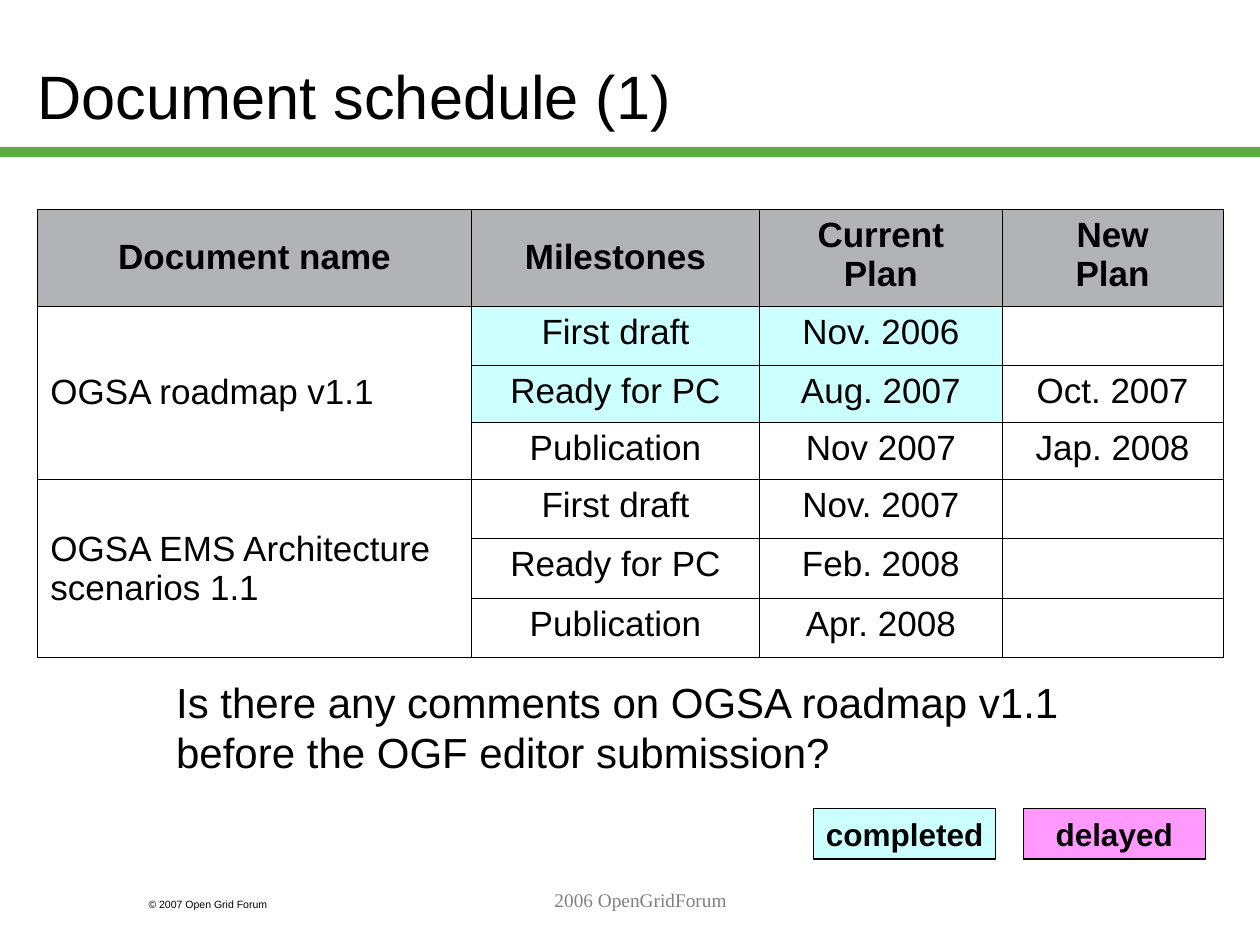
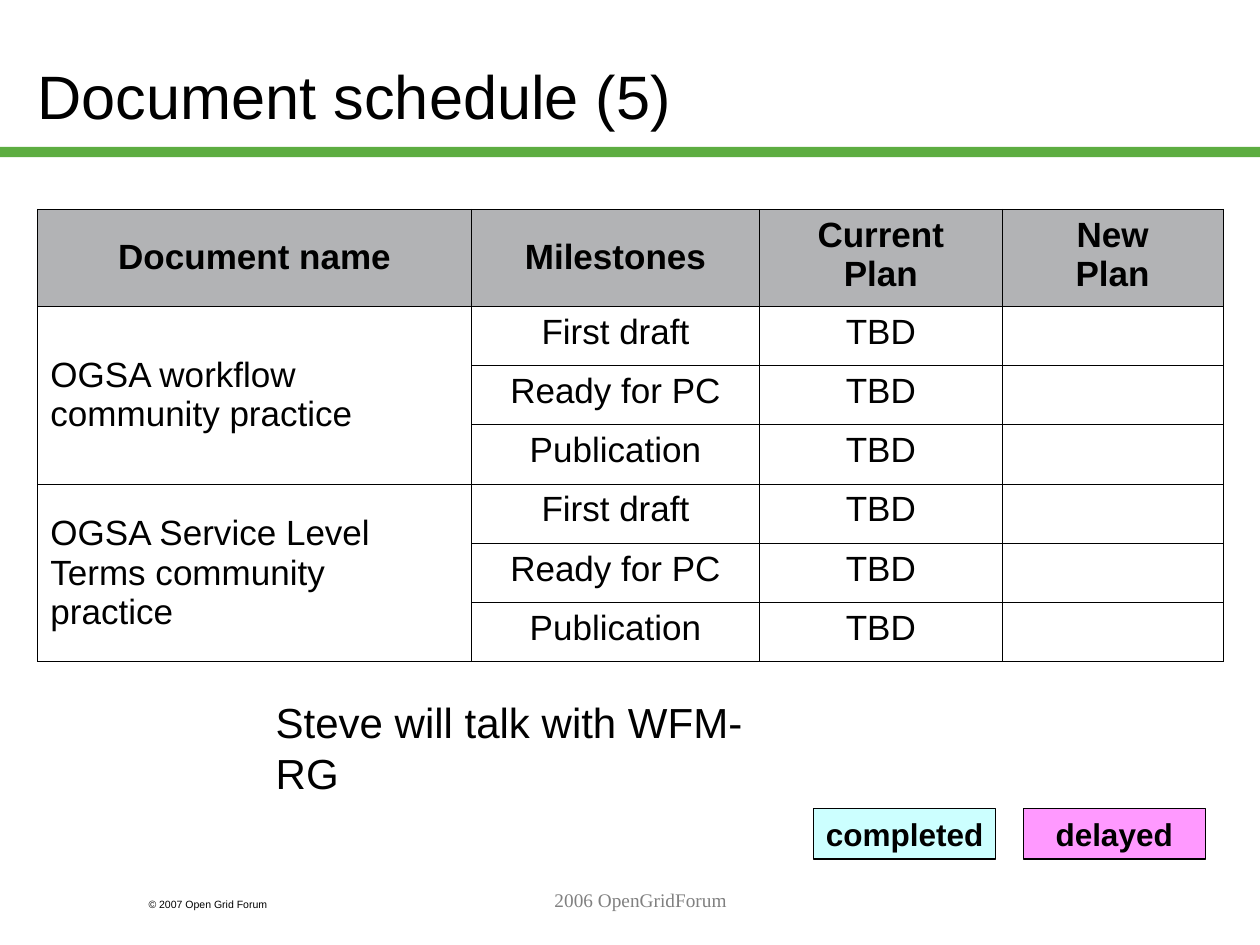
"""Build two document schedule slides with a milestone table and a status legend."""
import lxml.etree
import pptx
import pptx.dml.color
import pptx.enum.shapes
import pptx.enum.text
import pptx.oxml.ns
import pptx.util

Pt = pptx.util.Pt
ALIGN = pptx.enum.text.PP_ALIGN
ANCHOR = pptx.enum.text.MSO_ANCHOR

COLORS = {
    "text": "000000",
    "footer": "808080",
    "band": "5DAD41",
    "header": "B2B3B5",
    "completed": "CCFFFF",
    "delayed": "FF99FF",
}
COLUMN_WIDTHS = [247.8, 164.7, 138.6, 126.3]
HEADER_HEIGHT = 55.4
FULL_ROW, OPEN_ROW = 32.6, 33.9
HEADERS = ["Document name", "Milestones", "Current\nPlan", "New\nPlan"]
MILESTONES = ["First draft", "Ready for PC", "Publication"]

SCHEDULES = [
    {
        "title": "Document schedule (1)",
        "documents": [
            ("OGSA roadmap v1.1", ["Nov. 2006", "Aug. 2007", "Nov 2007"],
             ["", "Oct. 2007", "Jap. 2008"], 2),
            ("OGSA EMS Architecture\nscenarios 1.1",
             ["Nov. 2007", "Feb. 2008", "Apr. 2008"], [""] * 3, 0),
        ],
        "note": "Is there any comments on OGSA roadmap v1.1 before the OGF editor submission?",
        "note_box": (93.6, 383, 578.2, 64.8),
        "wrap": True,
    },
    {
        "title": "Document schedule (5)",
        "documents": [
            ("OGSA workflow\ncommunity practice", ["TBD"] * 3, [""] * 3, 0),
            ("OGSA Service Level\nTerms community\npractice", ["TBD"] * 3, [""] * 3, 0),
        ],
        "note": "Steve will talk with WFM-RG",
        "note_box": (150.5, 394.6, 316.8, 36),
        "wrap": False,
    },
]


def rgb(name):
    """Return the named colour."""
    return pptx.dml.color.RGBColor.from_string(COLORS[name])


def write(tf, text, size=20, font="Arial", color="text", bold=False, align=ALIGN.LEFT):
    """Write text into a frame, one paragraph for each line."""
    for i, line in enumerate(text.split("\n")):
        p = tf.add_paragraph() if i else tf.paragraphs[0]
        p.alignment = align
        r = p.add_run()
        r.text = line
        r.font.size, r.font.name, r.font.bold = Pt(size), font, bold
        r.font.color.rgb = rgb(color)


def add_text(s, box, text, anchor=ANCHOR.TOP, wrap=True, **fmt):
    """Add a text box."""
    tf = s.shapes.add_textbox(*map(Pt, box)).text_frame
    tf.word_wrap, tf.vertical_anchor = wrap, anchor
    write(tf, text, **fmt)


def add_rect(s, box, fill, outlined=False):
    """Add a filled rectangle, with a thin outline if wanted."""
    sp = s.shapes.add_shape(pptx.enum.shapes.MSO_SHAPE.RECTANGLE, *map(Pt, box))
    sp.shadow.inherit = False
    sp.fill.solid()
    sp.fill.fore_color.rgb = rgb(fill)
    if outlined:
        sp.line.color.rgb = rgb("text")
        sp.line.width = Pt(0.75)
    else:
        sp.line.fill.background()
    return sp


def border_cell(cell):
    """Draw a thin line on all four sides of a cell."""
    qn = pptx.oxml.ns.qn
    tc_pr = cell._tc.get_or_add_tcPr()
    for i, side in enumerate(("a:lnL", "a:lnR", "a:lnT", "a:lnB")):
        ln = lxml.etree.Element(qn(side), w=str(int(Pt(0.45))))
        fill = lxml.etree.SubElement(ln, qn("a:solidFill"))
        lxml.etree.SubElement(fill, qn("a:srgbClr"), val=COLORS["text"])
        tc_pr.insert(i, ln)


def fill_cell(cell, text, fill=None, anchor=ANCHOR.TOP, **fmt):
    """Set the text, fill and borders of a cell."""
    if text:
        write(cell.text_frame, text, **fmt)
    cell.vertical_anchor = anchor
    if fill:
        cell.fill.solid()
        cell.fill.fore_color.rgb = rgb(fill)
    else:
        cell.fill.background()
    border_cell(cell)


def add_schedule(s, box, documents):
    """Add the table of documents, milestones and plans."""
    count = len(MILESTONES)
    table = s.shapes.add_table(1 + count * len(documents), len(HEADERS),
                               *map(Pt, box)).table
    table.first_row = table.horz_banding = False
    for col, width in zip(table.columns, COLUMN_WIDTHS):
        col.width = Pt(width)
    table.rows[0].height = Pt(HEADER_HEIGHT)
    for c, text in enumerate(HEADERS):
        anchor = ANCHOR.TOP if "\n" in text else ANCHOR.MIDDLE
        fill_cell(table.cell(0, c), text, "header", anchor, bold=True, align=ALIGN.CENTER)
    for d, (name, current, new, done) in enumerate(documents):
        top = 1 + d * count
        table.cell(top, 0).merge(table.cell(top + count - 1, 0))
        for i, plan in enumerate(zip(MILESTONES, current, new)):
            row = top + i
            table.rows[row].height = Pt(FULL_ROW if new[i] else OPEN_ROW)
            fill_cell(table.cell(row, 0), "" if i else name, anchor=ANCHOR.MIDDLE)
            for c, text in enumerate(plan, 1):
                fill = "completed" if i < done and c < 3 else None
                fill_cell(table.cell(row, c), text, fill, align=ALIGN.CENTER)


def add_legend(s, box):
    """Add the two status keys, at the left and right ends of the box."""
    left, top, width, height = box
    key_width = 104
    for name, x in (("completed", left), ("delayed", left + width - key_width)):
        tf = add_rect(s, (x, top, key_width, height), name, True).text_frame
        tf.word_wrap, tf.vertical_anchor = False, ANCHOR.MIDDLE
        write(tf, name, size=18, bold=True, align=ALIGN.CENTER)


def add_frame(s, title):
    """Add the band, title and footers shared by all slides."""
    add_rect(s, (0, 84, 720, 5.8), "band")
    add_text(s, (77.8, 509.8, 108, 14.4), "© 2007 Open Grid Forum", size=6)
    add_text(s, (14.4, 9.4, 612, 90), title, ANCHOR.MIDDLE, size=35)
    add_text(s, (156.2, 504, 419.8, 36), "2006 OpenGridForum", size=11,
             font="Times New Roman", color="footer", align=ALIGN.CENTER)


def add_schedule_slide(prs, schedule):
    """Add one document schedule slide."""
    s = prs.slides.add_slide(prs.slide_layouts[6])
    add_frame(s, schedule["title"])
    add_schedule(s, (21.6, 119.5, 677.4, 251.3), schedule["documents"])
    add_legend(s, (465, 462.2, 223.7, 28.8))
    add_text(s, schedule["note_box"], schedule["note"], wrap=schedule["wrap"], size=24)


def main():
    """Build and save the presentation."""
    prs = pptx.Presentation()
    prs.slide_width, prs.slide_height = Pt(720), Pt(540)
    for schedule in SCHEDULES:
        add_schedule_slide(prs, schedule)
    prs.save("out.pptx")


if __name__ == "__main__":
    main()
